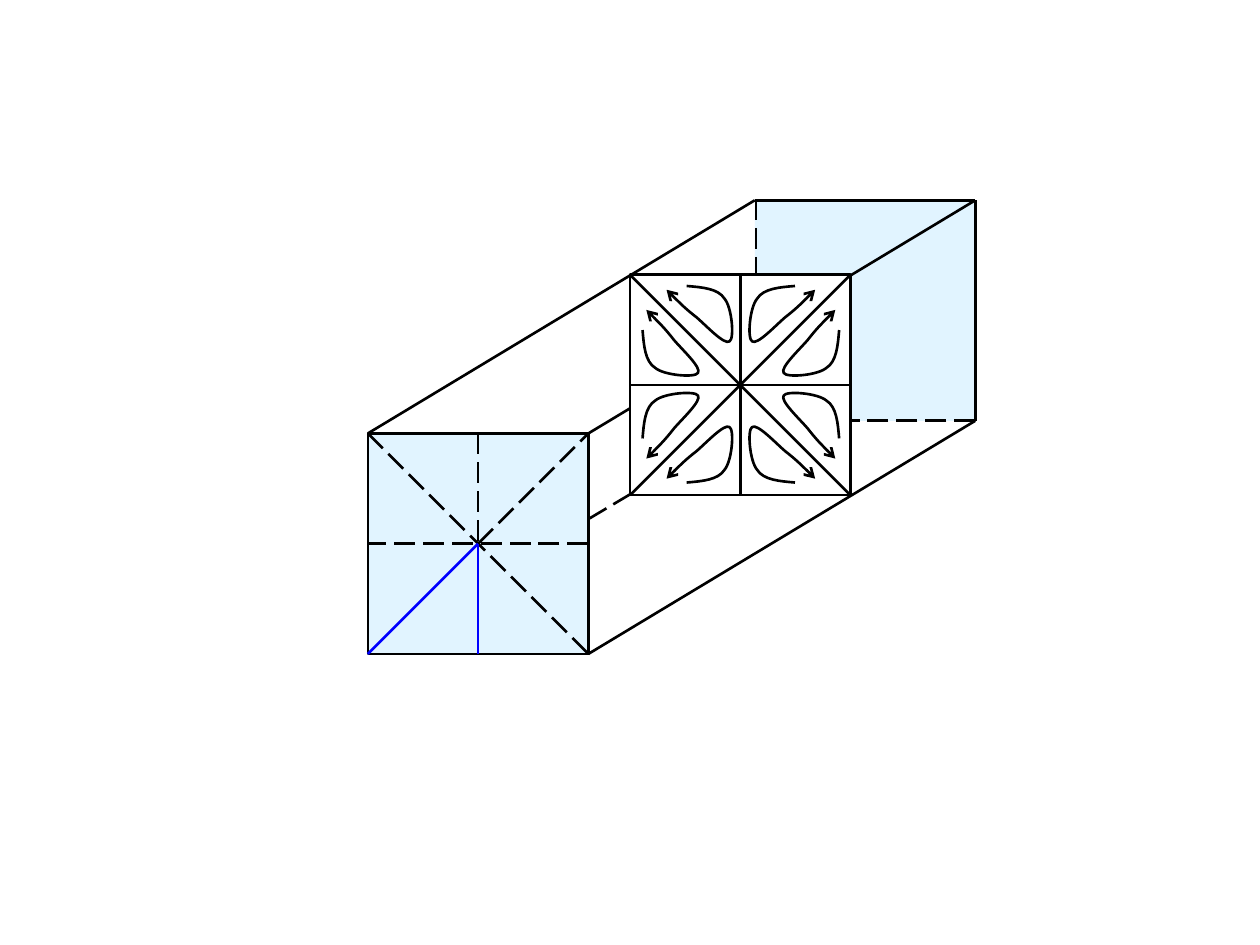
from dataclasses import dataclass
from itertools import product

from pptx import Presentation
from pptx import util as u
from pptx.dml.color import RGBColor
from pptx.enum import dml, shapes
from pptx.oxml.ns import qn
from lxml import etree

Point = tuple[float, float]


@dataclass(frozen=True)
class Theme:
    ink: str = "000000"
    accent: str = "0000FF"
    tint: str = "E1F4FF"
    paper: str = "FFFFFF"
    line_width: float = 1.5


@dataclass(frozen=True)
class Face:
    left: float
    top: float
    size: float = 1.75

    def at(self, fx: float, fy: float) -> Point:
        """Point at fractions fx, fy of the face's width and height."""
        return self.left + fx * self.size, self.top + fy * self.size


@dataclass(frozen=True)
class Stroke:
    start: Point
    end: Point
    color: str = Theme.ink
    dashed: bool = False


BACK, MIDDLE, FRONT = Face(5.99, 1.59), Face(5, 2.18), Face(2.92, 3.44)
TL, TR, BL, BR = (0, 0), (1, 0), (0, 1), (1, 1)
TOP, BOTTOM, LEFT, RIGHT, CENTER = (0.5, 0), (0.5, 1), (0, 0.5), (1, 0.5), (0.5, 0.5)

DUCT_EDGES = [Stroke(FRONT.at(*c), BACK.at(*c)) for c in (TR, BR, TL)] + [
    Stroke((4.67, 4.12), (6, 3.33), dashed=True)]
FRONT_AXES = [Stroke(FRONT.at(*a), FRONT.at(*b), dashed=True) for a, b in
              ((CENTER, TR), (TL, BR), (TOP, CENTER), (RIGHT, LEFT))]
BACK_EDGES = [Stroke(BACK.at(*a), BACK.at(*b)) for a, b in ((TL, TR), (TR, BR))]
MIDDLE_AXES = [Stroke(MIDDLE.at(*a), MIDDLE.at(*b)) for a, b in
               ((BL, TR), (TL, BR), (TOP, BOTTOM), (RIGHT, LEFT))]
FRONT_SECTOR = [Stroke(FRONT.at(*a), FRONT.at(*CENTER), Theme.accent) for a in (BL, BOTTOM)]
HIDDEN_EDGES = [Stroke((6, 1.58), (6, 2.17), dashed=True),
                Stroke((7.74, 3.34), (6.75, 3.34), dashed=True)]

# Start point, then three Bezier points per curve, relative to the vortex center
VORTEX_CENTER = (5.88, 3.05)
VORTEX = [(-0.78, 0.43),
          (-0.77, 0.31), (-0.76, 0.18), (-0.68, 0.13),
          (-0.61, 0.07), (-0.36, 0.05), (-0.34, 0.09),
          (-0.31, 0.13), (-0.46, 0.27), (-0.53, 0.35),
          (-0.60, 0.44), (-0.67, 0.51), (-0.75, 0.59)]


def format_line(line, color: str = Theme.ink, dashed: bool = False) -> None:
    line.color.rgb = RGBColor.from_string(color)
    fmt = {"width": u.Pt(Theme.line_width)}
    if dashed:
        fmt["dash_style"] = dml.MSO_LINE.LONG_DASH
    for name, value in fmt.items():
        setattr(line, name, value)


def draw_face(s, face: Face, fill: str, outlined: bool = True) -> None:
    sp = s.shapes.add_shape(shapes.MSO_SHAPE.RECTANGLE, *map(
        u.Inches, (face.left, face.top, face.size, face.size)))
    sp.shadow.inherit = False
    sp.fill.solid()
    sp.fill.fore_color.rgb = RGBColor.from_string(fill)
    if outlined:
        format_line(sp.line)
    else:
        sp.line.fill.background()


def draw_strokes(s, strokes: list[Stroke]) -> None:
    for stroke in strokes:
        cx = s.shapes.add_connector(shapes.MSO_CONNECTOR.STRAIGHT, *map(
            u.Inches, (*stroke.start, *stroke.end)))
        format_line(cx.line, stroke.color, stroke.dashed)
        etree.SubElement(cx._element.spPr, qn("a:effectLst"))


def draw_curve(s, points: list[Point]) -> None:
    """Draw a chain of cubic Beziers that ends in an arrowhead."""
    emu = [(u.Inches(x), u.Inches(y)) for x, y in points]
    fb = s.shapes.build_freeform(*emu[0], scale=1.0)
    fb.add_line_segments(emu[1:], close=False)
    sp = fb.convert_to_shape()
    sp.shadow.inherit = False
    sp.fill.background()
    format_line(sp.line)
    outline = next(sp._element.iter(qn("a:path")))
    segments = outline.findall(qn("a:lnTo"))
    for i in range(0, len(segments), 3):
        curve = etree.SubElement(outline, qn("a:cubicBezTo"))
        for segment in segments[i:i + 3]:
            curve.append(segment[0])
            outline.remove(segment)
    etree.SubElement(sp.line._get_or_add_ln(), qn("a:tailEnd"), type="arrow")


def draw_vortices(s) -> None:
    """Mirror one vortex across the diagonals and axes into all eight sectors."""
    cx, cy = VORTEX_CENTER
    across_diagonal = [(-y, -x) for x, y in VORTEX]
    for sy, sx, loop in product((1, -1), (1, -1), (VORTEX, across_diagonal)):
        draw_curve(s, [(cx + sx * x, cy + sy * y) for x, y in loop])


def main() -> None:
    prs = Presentation()
    prs.slide_width, prs.slide_height = u.Inches(10), u.Inches(7.5)
    s = prs.slides.add_slide(prs.slide_layouts.get_by_name("Blank"))
    s.background.fill.solid()
    s.background.fill.fore_color.rgb = RGBColor.from_string(Theme.paper)

    draw_face(s, BACK, Theme.tint, outlined=False)
    draw_face(s, FRONT, Theme.tint)
    draw_strokes(s, DUCT_EDGES + FRONT_AXES + BACK_EDGES)
    draw_face(s, MIDDLE, Theme.paper)
    draw_strokes(s, MIDDLE_AXES)
    draw_vortices(s)
    draw_strokes(s, FRONT_SECTOR + HIDDEN_EDGES)
    prs.save("out.pptx")


if __name__ == "__main__":
    main()
